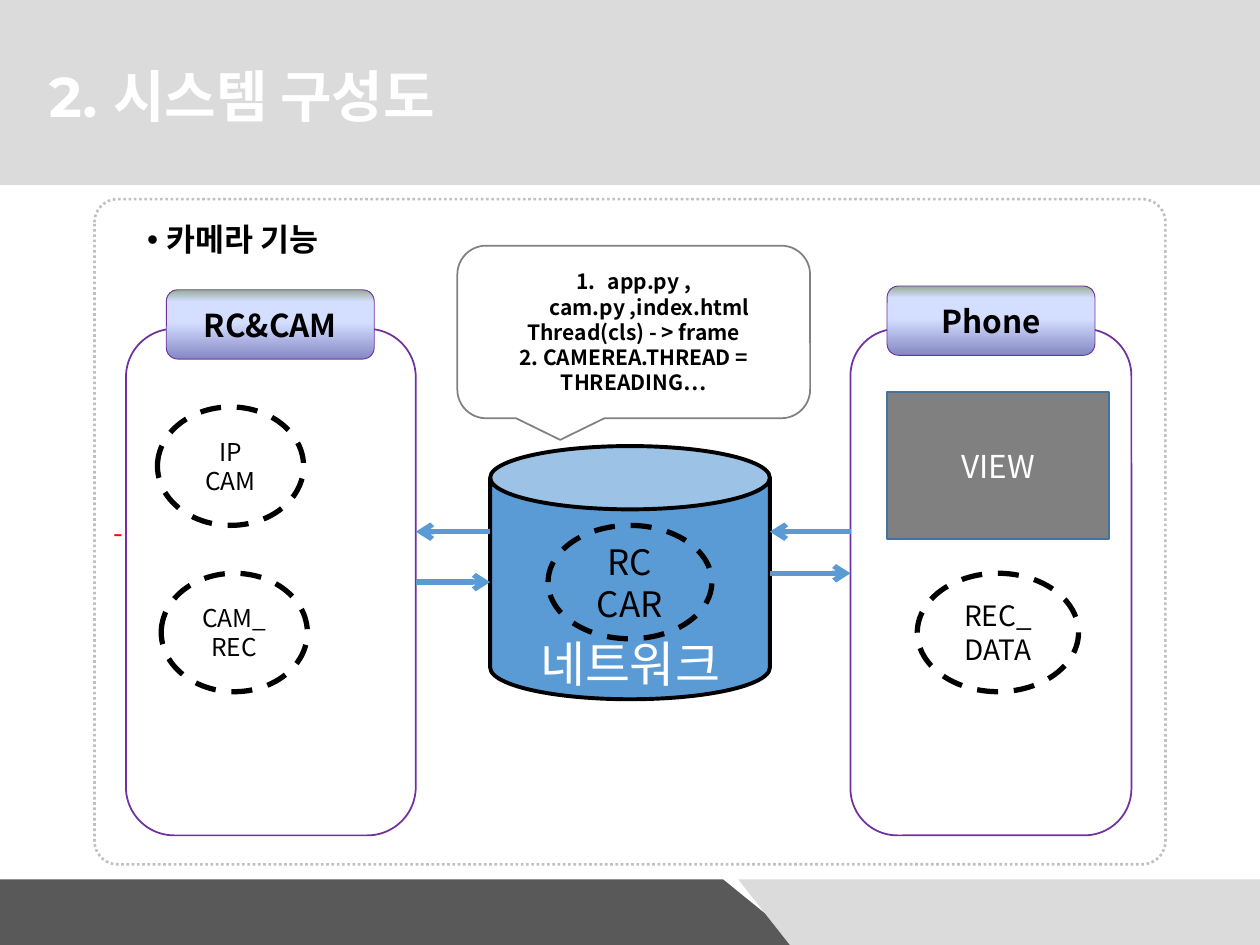
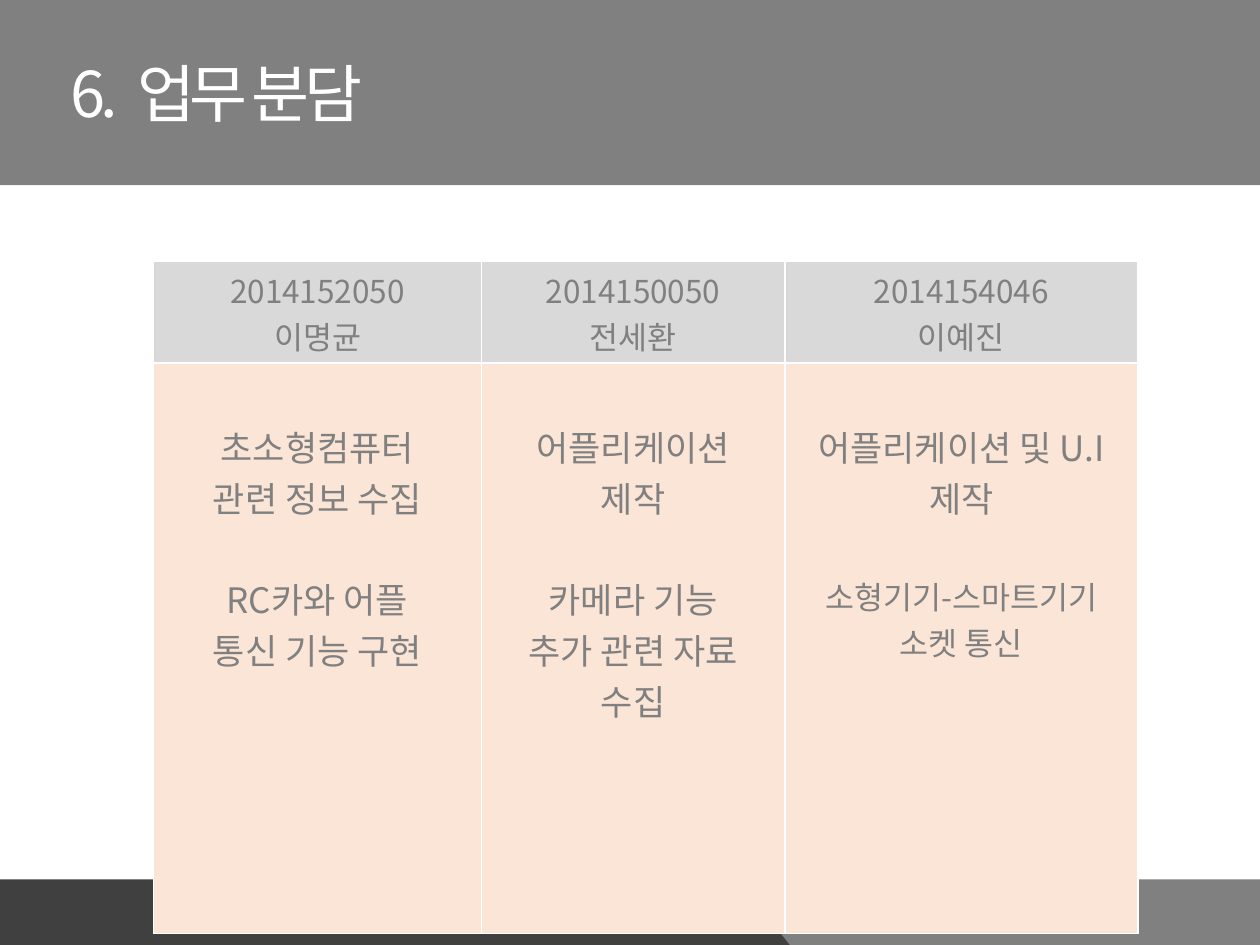
from dataclasses import dataclass
from lxml.etree import SubElement as Sub
from pptx import Presentation
from pptx.dml.color import RGBColor as RGB
from pptx.enum.dml import MSO_LINE as Dash
from pptx.enum.shapes import MSO_CONNECTOR as Link, MSO_SHAPE as Geo
from pptx.enum.text import MSO_ANCHOR as Anc, PP_ALIGN as Align
from pptx.oxml.ns import qn
from pptx.util import Inches, Pt


@dataclass(frozen=True)
class Theme:
    font: str = "Noto Sans CJK KR"
    bold: str = "Montserrat"
    white: str = "FFFFFF"
    black: str = "000000"
    gray: str = "808080"
    pale: str = "DBDBDB"
    head: str = "D9D9D9"
    peach: str = "FBE5D6"
    dots: str = "C0C0C0"
    purple: str = "7030A0"
    blue: str = "5B9BD5"
    navy: str = "43739E"
    red: str = "FF0000"
    slate: str = "595959"
    coal: str = "404040"
    glow: tuple = ((0, "8488C4"), (53, "D4DEFF"), (83, "D4DEFF"), (100, "96AB94"))
    tiny: int = 12
    small: int = 14
    mid: int = 16
    body: int = 18
    large: int = 20
    huge: int = 28
    title: int = 32
    grand: int = 36


T = Theme()


def style(run, size, color, bold=False, font=T.font, gap=None):
    run.font.size, run.font.bold, run.font.name = Pt(size), bold, font
    run.font.color.rgb = RGB.from_string(color)
    props = run.font._element
    Sub(props, qn("a:ea")).set("typeface", T.font)
    if gap is not None:
        props.set("spc", str(round(gap * 100)))


def bullet(para, mark, indent):
    props = para._p.get_or_add_pPr()
    props.set("marL", str(Inches(indent)))
    props.set("indent", str(-Inches(indent)))
    if mark == "1.":
        Sub(props, qn("a:buAutoNum")).set("type", "arabicPeriod")
    else:
        Sub(props, qn("a:buFont")).set("typeface", "Arial")
        Sub(props, qn("a:buChar")).set("char", mark)


def write(frame, lines, align=Align.CENTER, before=0, more=False, **form):
    """Write lines as paragraphs; a line may be a list of (text, gap) runs."""
    for i, line in enumerate(lines):
        para = frame.add_paragraph() if i or more else frame.paragraphs[0]
        para.alignment = align
        if before and not i:
            para.space_before = Pt(before)
        for words, gap in [(line, None)] if isinstance(line, str) else line:
            run = para.add_run()
            run.text = words
            style(run, gap=gap, **form)


def label(slide, box, lines, wrap=True, anchor=Anc.TOP, **form):
    frame = slide.shapes.add_textbox(*map(Inches, box)).text_frame
    frame.word_wrap, frame.vertical_anchor = wrap, anchor
    write(frame, lines, **form)
    return frame


def paint(shape, fill=None, line=None, width=1, dash=None):
    shape.shadow.inherit = False
    if fill:
        shape.fill.solid()
        shape.fill.fore_color.rgb = RGB.from_string(fill)
    else:
        shape.fill.background()
    if line:
        shape.line.color.rgb = RGB.from_string(line)
        shape.line.width = Pt(width)
        if dash:
            shape.line.dash_style = dash
    else:
        shape.line.fill.background()


def draw(slide, geo, box, lines=(), form=None, **look):
    shape = slide.shapes.add_shape(geo, *map(Inches, box))
    paint(shape, **look)
    shape.text_frame.word_wrap = True
    shape.text_frame.vertical_anchor = Anc.MIDDLE
    if lines:
        write(shape.text_frame, lines, **form)
    return shape


def outline(slide, points, fill):
    spots = [(Inches(x), Inches(y)) for x, y in points]
    path = slide.shapes.build_freeform(*spots[0])
    path.add_line_segments(spots[1:], close=True)
    paint(path.convert_to_shape(), fill)


def arrow(slide, start, end, y):
    line = slide.shapes.add_connector(
        Link.STRAIGHT, *map(Inches, (start, y, end, y)))
    line.line.color.rgb = RGB.from_string(T.blue)
    line.line.width = Pt(3)
    Sub(line.line._get_or_add_ln(), qn("a:tailEnd")).set("type", "arrow")
    Sub(line._element.spPr, qn("a:effectLst"))


def frame(deck, band, foot, box, title, **form):
    """Start a slide with its title band and footer."""
    slide = deck.slides.add_slide(deck.slide_layouts[6])
    draw(slide, Geo.RECTANGLE, (0, 0, 10, 1.47), fill=band)
    label(slide, box, [title], anchor=Anc.MIDDLE, align=Align.LEFT,
          color=T.white, **form)
    top, low = 6.98, 7.5
    outline(slide, [(0, top), (5.74, top), (6.38, low), (0, low)], foot)
    outline(slide, [(5.86, top), (10, top), (10, low), (6.27, low)], band)
    return slide


def panel(slide, box, name, dx, dy):
    """Rounded panel with a glossy name tab across its top edge."""
    x, y = box[:2]
    draw(slide, Geo.ROUNDED_RECTANGLE, box, fill=T.white, line=T.purple)
    tab = draw(slide, Geo.ROUNDED_RECTANGLE, (x + dx, y + dy, 1.65, 0.55), [name],
               dict(size=T.body, color=T.black, bold=True),
               line=T.purple, width=0.5)
    tab.fill.gradient()
    grad = tab._element.spPr.find(qn("a:gradFill"))
    stops = grad.find(qn("a:gsLst"))
    stops.clear()
    for spot, color in T.glow:
        stop = Sub(stops, qn("a:gs"))
        stop.set("pos", str(spot * 1000))
        Sub(stop, qn("a:srgbClr")).set("val", color)
    grad.find(qn("a:lin")).set("ang", str(270 * 60000))


def node(slide, box, lines, size):
    draw(slide, Geo.OVAL, box, lines, dict(size=size, color=T.black),
         line=T.black, width=3, dash=Dash.DASH)


def store(slide, box):
    """Network drum with the car inside it."""
    x, y, w, h = box
    draw(slide, Geo.CAN, box, fill=T.blue, line=T.black, width=2.25)
    label(slide, (x, y + 1.44, w, 0.6), ["네트워크"], size=T.huge, color=T.white)
    node(slide, (x + 0.46, y + 0.63, 1.3, 0.9), ["RC CAR"], T.large)


def note(slide, box):
    """Speech bubble that lists the code files."""
    lines = ["app.py , cam.py ,index.html", "Thread(cls) - > frame",
             "2. CAMEREA.THREAD = THREADING…"]
    bubble = draw(slide, Geo.ROUNDED_RECTANGULAR_CALLOUT, box, lines,
                  dict(size=T.tiny, color=T.black, bold=True), line=T.gray)
    bullet(bubble.text_frame.paragraphs[0], "1.", 0.25)


def system(deck):
    slide = frame(deck, T.pale, T.slate, (0.29, 0.37, 8.4, 0.77),
                  "2. 시스템 구성도", size=T.title, font=T.bold, bold=True)
    # Dotted border and heading
    edge = draw(slide, Geo.ROUNDED_RECTANGLE, (0.75, 1.58, 8.5, 5.28),
                line=T.dots, width=1.5, dash=Dash.ROUND_DOT)
    edge.adjustments[0] = 0.035
    head = label(slide, (1.07, 1.7, 1.73, 0.4), ["카메라 기능"], wrap=False,
                 align=Align.LEFT, size=T.body, color=T.black, bold=True)
    bullet(head.paragraphs[0], "•", 0.15)
    label(slide, (0.79, 4.04, 0.3, 0.35), ["-"], wrap=False,
          size=T.mid, color=T.red)
    # Camera side, network, phone side
    panel(slide, (1, 2.61, 2.3, 4.02), "RC&CAM", 0.32, -0.31)
    node(slide, (1.25, 3.23, 1.16, 0.94), ["IP CAM"], T.small)
    node(slide, (1.28, 4.55, 1.16, 0.94), ["CAM_REC"], T.small)
    store(slide, (3.89, 3.54, 2.22, 2.01))
    panel(slide, (6.75, 2.61, 2.23, 4.02), "Phone", 0.29, -0.34)
    draw(slide, Geo.RECTANGLE, (7.04, 3.11, 1.76, 1.17), ["VIEW"],
         dict(size=T.body, color=T.white), fill=T.gray, line=T.navy)
    node(slide, (7.28, 4.55, 1.28, 0.94), ["REC_", "DATA"], T.mid)
    # Traffic both ways
    for left, right, low in ((3.3, 3.89, 4.62), (6.11, 6.75, 4.55)):
        arrow(slide, left, right, low)
        arrow(slide, right, left, 4.22)
    note(slide, (3.63, 1.95, 2.8, 1.37))


def fill_cell(cell, color):
    props = cell._tc.get_or_add_tcPr()
    for side in "LRTB":
        line = Sub(props, qn("a:ln" + side))
        line.set("w", str(Pt(1)))
        Sub(Sub(line, qn("a:solidFill")), qn("a:srgbClr")).set("val", T.white)
    cell.fill.solid()
    cell.fill.fore_color.rgb = RGB.from_string(color)


def duties(slide, box, people):
    """Table with one column a member: number and name above the tasks."""
    table = slide.shapes.add_table(2, len(people), *map(Inches, box)).table
    for row, tall in zip(table.rows, (0.81, 4.53)):
        row.height = Inches(tall)
    for col, (wide, who, tasks) in enumerate(people):
        table.columns[col].width = Inches(wide)
        top, low = table.cell(0, col), table.cell(1, col)
        fill_cell(top, T.head)
        top.vertical_anchor = Anc.MIDDLE
        write(top.text_frame, who, size=T.body, color=T.gray)
        fill_cell(low, T.peach)
        low.margin_top = Inches(0.46)
        for i, (size, lines) in enumerate(tasks):
            write(low.text_frame, lines, more=i > 0, before=29 * i,
                  size=size, color=T.gray)


def roles(deck):
    slide = frame(deck, T.gray, T.coal, (0.46, 0.35, 8.4, 0.77),
                  [("6.", -2.9), (" ", 3), ("업무 분담", -2.9)], size=T.grand)
    duties(slide, (1.22, 2.07, 7.81, 5.34), [
        (2.6, ["2014152050", "이명균"],
         [(T.large, ["초소형컴퓨터", "관련 정보 수집"]),
          (T.large, ["RC카와 어플", "통신 기능 구현"])]),
        (2.41, ["2014150050", "전세환"],
         [(T.large, ["어플리케이션", "제작"]),
          (T.large, ["카메라 기능", "추가 관련 자료", "수집"])]),
        (2.8, ["2014154046", "이예진"],
         [(T.large, ["어플리케이션 및 U.I", "제작"]),
          (T.body, ["소형기기-스마트기기 소켓 통신"])]),
    ])


def main():
    deck = Presentation()
    deck.slide_width, deck.slide_height = Inches(10), Inches(7.5)
    system(deck)
    roles(deck)
    deck.save("out.pptx")


if __name__ == "__main__":
    main()
